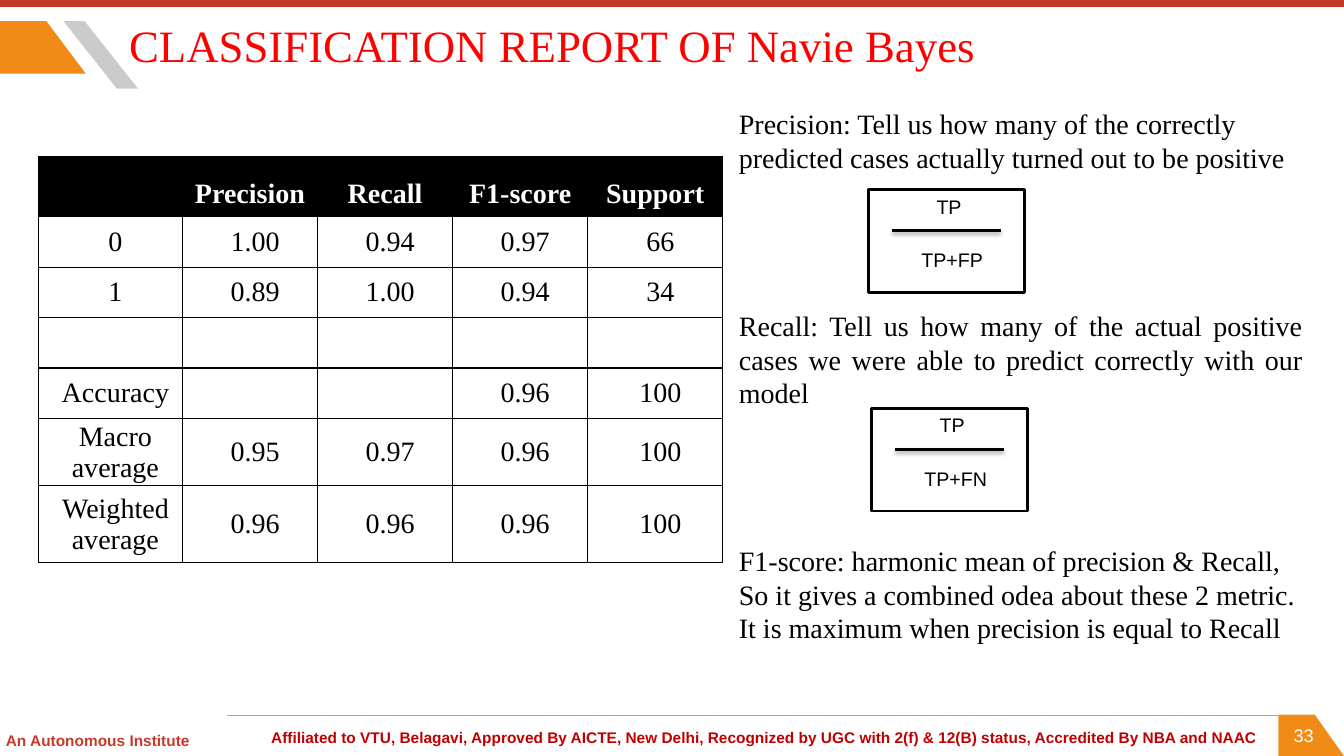
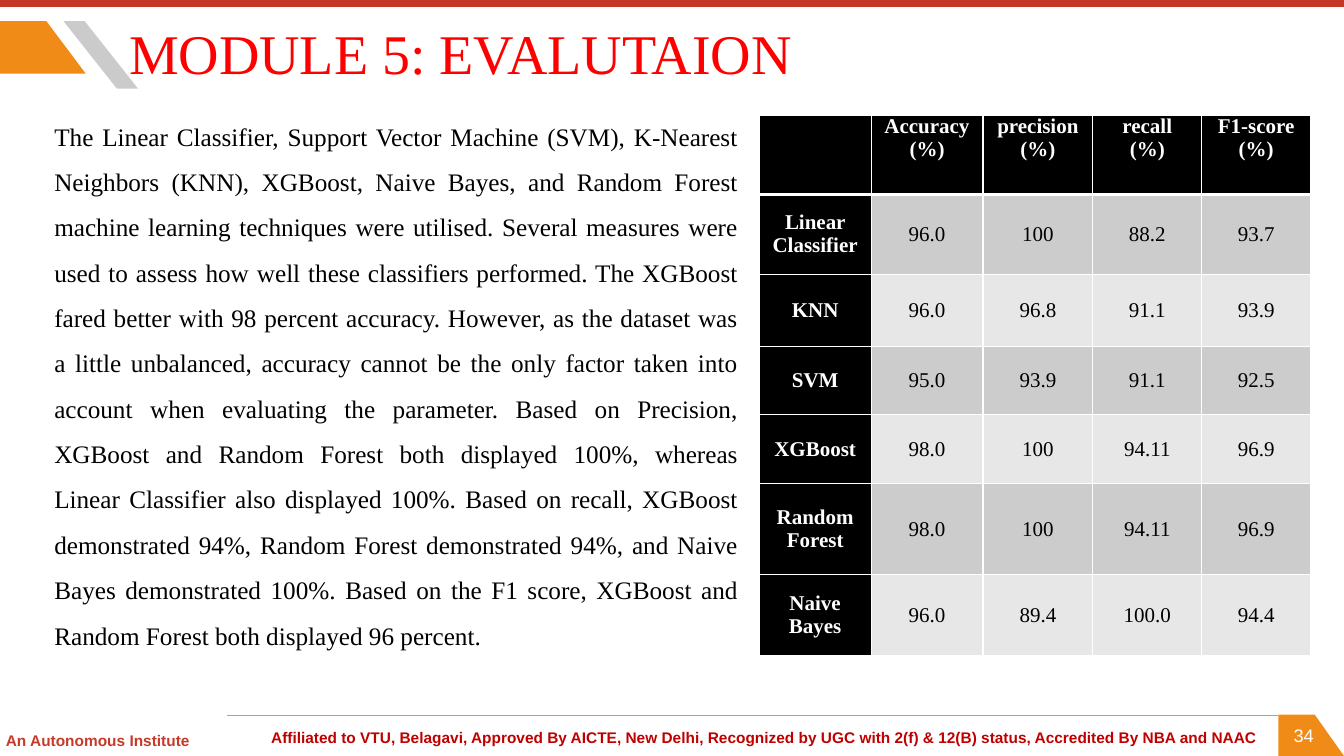
import pptx
import pptx.util
import pptx.dml.color
import pptx.enum.shapes
import pptx.enum.text
import pptx.oxml
import pptx.oxml.ns

Inches = pptx.util.Inches
Pt = pptx.util.Pt
Align = pptx.enum.text.PP_ALIGN
Anchor = pptx.enum.text.MSO_ANCHOR
A_NS = pptx.oxml.ns.nsdecls("a")


def color(text):
    return pptx.dml.color.RGBColor.from_string(text)


class Deck:
    # Shared style
    SERIF, SANS = "Times New Roman", "Arial"
    BLACK, WHITE, RED = "000000", "FFFFFF", "FF0000"
    ORANGE, BAND, GRAY, RULE = "F18B17", "C43727", "7F7F7F", "A5A5A5"
    FOOT, HOME = "C00000", "C73928"

    def __init__(self):
        self.file = pptx.Presentation()
        self.file.slide_width = Inches(13.33)
        self.file.slide_height = Inches(7.5)
        self.slide = None

    def start(self, title, size, width, number):
        """Open a slide with its frame, footer and title."""
        self.slide = self.file.slides.add_slide(self.file.slide_layouts[5])
        self.frame(number)
        box = self.slide.shapes.title
        box.left, box.top = Inches(1.18), Inches(0.13)
        box.width, box.height = Inches(width), Inches(size / 52)
        frame = box.text_frame
        frame.auto_size = pptx.enum.text.MSO_AUTO_SIZE.NONE
        frame.vertical_anchor = Anchor.TOP
        frame.text = title
        self.style(frame.paragraphs[0], size, self.RED)

    def frame(self, number):
        # Top band and slanted marks
        self.rect(0, 0, 13.33, 0.07, self.BAND)
        self.outline([(0.46, 0.21), (0, 0.21), (0, 0.73), (0.85, 0.73)], self.ORANGE)
        self.outline([(0.84, 0.21), (0.63, 0.21), (1.16, 0.88), (1.37, 0.88)],
                     self.GRAY, 40)
        # Footer
        self.line(2.25, 12.68, 7.1, self.RULE, 1)
        self.outline([(13.04, 7.09), (12.68, 7.09), (12.68, 7.5), (13.33, 7.5)],
                     self.ORANGE)
        self.text(12.71, 7.14, 0.44, 0.4, [str(number)], 13, self.WHITE,
                  Align.CENTER, font=self.SANS)
        self.text(2.03, 7.17, 11.11, 0.29,
                  ["Affiliated to VTU, Belagavi, Approved By AICTE, New Delhi, "
                   "Recognized by UGC with 2(f) & 12(B) status, "
                   "Accredited By NBA and NAAC"],
                  11, self.FOOT, Align.CENTER, True, self.SANS)
        self.text(-0.04, 7.2, 2.54, 0.29, ["An Autonomous Institute"],
                  11, self.HOME, bold=True, font=self.SANS)

    def style(self, para, size, ink, align=Align.LEFT, bold=False, font=SERIF):
        para.alignment = align
        para.font.size = Pt(size)
        para.font.name = font
        para.font.bold = bold
        para.font.color.rgb = color(ink)

    def text(self, x, y, w, h, lines, size, ink=BLACK, align=Align.LEFT,
             bold=False, font=SERIF, pitch=None):
        box = self.slide.shapes.add_textbox(Inches(x), Inches(y), Inches(w), Inches(h))
        frame = box.text_frame
        frame.word_wrap = True
        frame.text = "\n".join(lines)
        for para in frame.paragraphs:
            self.style(para, size, ink, align, bold, font)
            if pitch:
                para.line_spacing = Pt(pitch)
        return frame.paragraphs

    def rect(self, x, y, w, h, fill, edge=None):
        shape = self.slide.shapes.add_shape(
            pptx.enum.shapes.MSO_SHAPE.RECTANGLE,
            Inches(x), Inches(y), Inches(w), Inches(h))
        self.paint(shape, fill)
        if edge:
            shape.line.color.rgb = color(edge)
            shape.line.width = Pt(2)

    def paint(self, shape, fill):
        shape.shadow.inherit = False
        shape.fill.solid()
        shape.fill.fore_color.rgb = color(fill)
        shape.line.fill.background()

    def outline(self, points, fill, alpha=None):
        spots = [(Inches(x), Inches(y)) for x, y in points]
        pen = self.slide.shapes.build_freeform(*spots[0])
        pen.add_line_segments(spots[1:], close=True)
        shape = pen.convert_to_shape()
        self.paint(shape, fill)
        if alpha:
            tint = shape._element.spPr.find(".//" + pptx.oxml.ns.qn("a:srgbClr"))
            tint.append(pptx.oxml.parse_xml(f'<a:alpha {A_NS} val="{alpha * 1000}"/>'))

    def line(self, left, right, y, ink, width, shade=False):
        line = self.slide.shapes.add_connector(
            pptx.enum.shapes.MSO_CONNECTOR.STRAIGHT,
            Inches(left), Inches(y), Inches(right), Inches(y))
        line.line.color.rgb = color(ink)
        line.line.width = Pt(width)
        glow = (f'<a:outerShdw blurRad="{Pt(3.1)}" dist="{Pt(1.6)}" dir="5400000" '
                'rotWithShape="0"><a:srgbClr val="000000"><a:alpha val="38000"/>'
                '</a:srgbClr></a:outerShdw>') if shade else ""
        line._element.spPr.append(pptx.oxml.parse_xml(
            f"<a:effectLst {A_NS}>{glow}</a:effectLst>"))

    def ratio(self, x, y, over, under):
        """Draw a boxed fraction."""
        self.rect(x, y, 1.55, 1.02, self.WHITE, self.BLACK)
        self.text(x + 0.58, y, 0.58, 0.34, [over], 14, font=self.SANS)
        self.text(x + 0.43, y + 0.53, 0.89, 0.34, [under], 14, font=self.SANS)
        self.line(x + 0.24, x + 1.32, y + 0.41, self.BLACK, 2, True)

    def table(self, x, y, cols, rows, data, size, look):
        """Fill a grid; look(row, col) gives fill, ink, bold and margins."""
        grid = self.slide.shapes.add_table(
            len(rows), len(cols), Inches(x), Inches(y),
            Inches(sum(cols)), Inches(sum(rows))).table
        grid.first_row = grid.horz_banding = False
        for col, width in zip(grid.columns, cols):
            col.width = Inches(width)
        for r, (row, height) in enumerate(zip(grid.rows, rows)):
            row.height = Inches(height)
            for c, cell in enumerate(row.cells):
                fill, ink, bold, pads = look(r, c)
                cell.text = data[r][c]
                cell.vertical_anchor = Anchor.MIDDLE
                (cell.margin_left, cell.margin_top,
                 cell.margin_right, cell.margin_bottom) = map(Inches, pads)
                for para in cell.text_frame.paragraphs:
                    self.style(para, size, ink, Align.CENTER, bold)
                cell.fill.solid()
                cell.fill.fore_color.rgb = color(fill)
        return grid

    def edge(self, cell, ink, **widths):
        """Set the cell's four borders, 1 point unless named in widths."""
        prop = cell._tc.get_or_add_tcPr()
        for at, side in enumerate("LRTB"):
            prop.insert(at, pptx.oxml.parse_xml(
                f'<a:ln{side} {A_NS} w="{Pt(widths.get(side, 1))}"><a:solidFill>'
                f'<a:srgbClr val="{ink}"/></a:solidFill></a:ln{side}>'))


def report(deck):
    deck.start("CLASSIFICATION REPORT OF Navie Bayes", 32, 12.15, 33)

    # Scores by class
    data = [
        ["", "Precision", "Recall", "F1-score", "Support"],
        ["0", "1.00", "0.94", "0.97", "66"],
        ["1", "0.89", "1.00", "0.94", "34"],
        [""] * 5,
        ["Accuracy", "", "", "0.96", "100"],
        ["Macro average", "0.95", "0.97", "0.96", "100"],
        ["Weighted average", "0.96", "0.96", "0.96", "100"],
    ]

    def look(r, c):
        if r == 0:
            return deck.BLACK, deck.WHITE, True, (0.1, 0.05, 0.1, 0.05)
        return deck.WHITE, deck.BLACK, False, (0.1, 0, 0, 0)

    grid = deck.table(0.38, 1.55, [1.43] + [1.34] * 4,
                      [0.6] + [0.5] * 4 + [0.67, 0.76], data, 20, look)
    for cell in grid.iter_cells():
        deck.edge(cell, deck.BLACK)
    for cell in grid.rows[0].cells:
        cell.text_frame.paragraphs[0].line_spacing = 1.5

    # Meaning of each score, with room left for the fractions
    paras = deck.text(7.23, 1.01, 5.79, 5.49, [
        "Precision: Tell us how many of the correctly predicted cases "
        "actually turned out to be positive",
        "Recall: Tell us how many of the actual positive cases we were "
        "able to predict correctly with our model",
        "F1-score: harmonic mean of precision & Recall, So it gives a "
        "combined odea about these 2 metric. It is maximum when precision "
        "is equal to Recall"], 20, pitch=24)
    for para in paras[1:]:
        para.space_before = Pt(96)
    paras[1].alignment = Align.JUSTIFY
    deck.ratio(8.61, 1.88, "TP", "TP+FP")
    deck.ratio(8.64, 4.05, "TP", "TP+FN")


def module(deck):
    deck.start("MODULE 5: EVALUTAION", 40, 8.41, 34)

    # Findings
    deck.text(0.44, 1, 6.98, 5.5, [
        "The Linear Classifier, Support Vector Machine (SVM), K-Nearest "
        "Neighbors (KNN), XGBoost, Naive Bayes, and Random Forest machine "
        "learning techniques were utilised. Several measures were used to "
        "assess how well these classifiers performed. The XGBoost fared "
        "better with 98 percent accuracy. However, as the dataset was a "
        "little unbalanced, accuracy cannot be the only factor taken into "
        "account when evaluating the parameter. Based on Precision, XGBoost "
        "and Random Forest both displayed 100%, whereas Linear Classifier "
        "also displayed 100%. Based on recall, XGBoost demonstrated 94%, "
        "Random Forest demonstrated 94%, and Naive Bayes demonstrated 100%. "
        "Based on the F1 score, XGBoost and Random Forest both displayed "
        "96 percent."], 18, align=Align.JUSTIFY, pitch=32.4)

    # Scores by method
    heads = ["Accuracy", "precision", "recall", "F1-score"]
    data = [
        [""] + [head + "\n(%)" for head in heads],
        ["Linear Classifier", "96.0", "100", "88.2", "93.7"],
        ["KNN", "96.0", "96.8", "91.1", "93.9"],
        ["SVM", "95.0", "93.9", "91.1", "92.5"],
        ["XGBoost", "98.0", "100", "94.11", "96.9"],
        ["Random Forest", "98.0", "100", "94.11", "96.9"],
        ["Naive Bayes", "96.0", "89.4", "100.0", "94.4"],
    ]

    def look(r, c):
        pads = (0.07, 0, 0.07, 0)
        if r == 0 or c == 0:
            return deck.BLACK, deck.WHITE, True, pads
        return ("CCCCCC" if r % 2 else "E7E7E7"), deck.BLACK, False, pads

    grid = deck.table(7.53, 1.14, [1.11, 1.11, 1.09, 1.08, 1.08],
                      [0.79, 0.79, 0.72, 0.67, 0.69, 0.9, 0.81], data, 15, look)
    for r, row in enumerate(grid.rows):
        for cell in row.cells:
            deck.edge(cell, deck.WHITE, **{0: {"B": 3}, 1: {"T": 3}}.get(r, {}))
    for cell in grid.rows[0].cells:
        cell.vertical_anchor = Anchor.TOP


def main():
    deck = Deck()
    report(deck)
    module(deck)
    deck.file.save("out.pptx")


if __name__ == "__main__":
    main()
